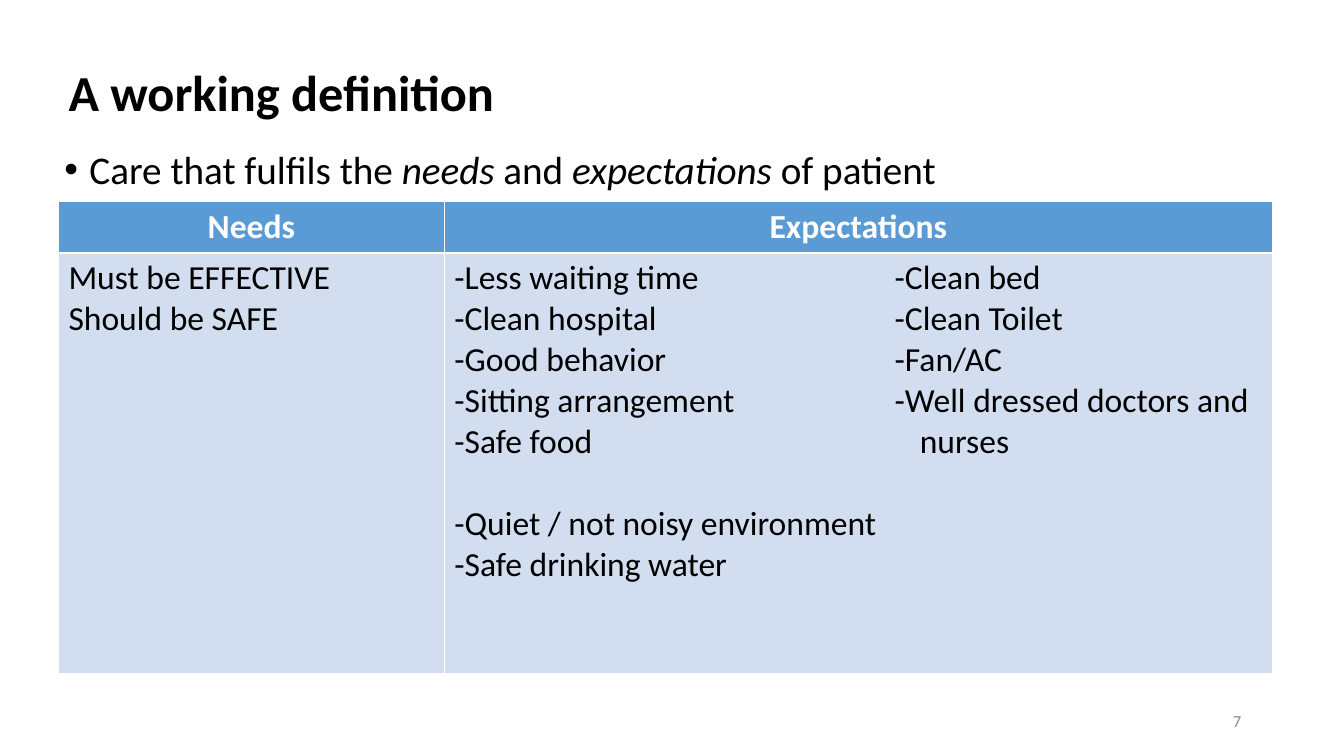
from dataclasses import dataclass

from lxml import etree
from pptx import Presentation
from pptx.dml.color import RGBColor
from pptx.enum.text import MSO_ANCHOR, MSO_AUTO_SIZE, PP_ALIGN
from pptx.oxml.ns import qn
from pptx.util import Inches, Pt

LEFT, CENTER, RIGHT = PP_ALIGN.LEFT, PP_ALIGN.CENTER, PP_ALIGN.RIGHT
TOP, MIDDLE = MSO_ANCHOR.TOP, MSO_ANCHOR.MIDDLE
NO_AUTOFIT = MSO_AUTO_SIZE.NONE
TITLE_ONLY = 5


@dataclass(frozen=True)
class Theme:
    font: str = "Calibri"
    black: str = "000000"
    white: str = "FFFFFF"
    gray: str = "898989"
    header_fill: str = "5B9BD5"
    body_fill: str = "D2DEEF"
    title_size: int = 36
    bullet_size: int = 28
    table_size: int = 24
    number_size: int = 12
    thin_line: float = 0.45
    thick_line: float = 1.47


THEME = Theme()

NEEDS = ["Must be EFFECTIVE", "Should be SAFE"]
EXPECTATIONS = [
    "-Less waiting time\t-Clean bed",
    "-Clean hospital\t-Clean Toilet",
    "-Good behavior\t-Fan/AC",
    "-Sitting arrangement\t-Well dressed doctors and",
    "-Safe food\tnurses",
    "-Quiet / not noisy environment",
    "-Safe drinking water",
]
SECOND_COLUMN = 4.37
CONTINUATION = 4.62
GROUP_GAP = 29.3
GROUP_START = 5


def format_font(font, size, color, bold=False, italic=False):
    font.name = THEME.font
    font.size = Pt(size)
    font.color.rgb = RGBColor.from_string(color)
    font.bold = bold
    font.italic = italic


def format_paragraph(paragraph, size, color, bold=False, align=LEFT):
    paragraph.alignment = align
    for run in paragraph.runs:
        format_font(run.font, size, color, bold)


def place(shape, left, top, width, height):
    shape.left, shape.top = Inches(left), Inches(top)
    shape.width, shape.height = Inches(width), Inches(height)


def add_text_box(slide, left, top, width, height, anchor=TOP):
    box = slide.shapes.add_textbox(Inches(left), Inches(top), Inches(width), Inches(height))
    box.text_frame.word_wrap = True
    box.text_frame.vertical_anchor = anchor
    return box.text_frame.paragraphs[0]


def add_title(slide, text):
    title = slide.shapes.title
    place(title, 0.58, 0.55, 12.11, 0.78)
    frame = title.text_frame
    frame.text = text
    frame.auto_size = NO_AUTOFIT
    frame.vertical_anchor = MIDDLE
    paragraph = frame.paragraphs[0]
    paragraph.line_spacing = 0.9
    format_paragraph(paragraph, THEME.title_size, THEME.black, bold=True)


def add_bullet(slide, parts):
    paragraph = add_text_box(slide, 0.54, 1.44, 12.17, 0.55)
    properties = paragraph._p.get_or_add_pPr()
    properties.set("marL", str(Inches(0.25)))
    properties.set("indent", str(-Inches(0.25)))
    etree.SubElement(properties, qn("a:buFont")).set("typeface", "Arial")
    etree.SubElement(properties, qn("a:buChar")).set("char", "•")
    paragraph.line_spacing = 0.9
    for text, italic in parts:
        run = paragraph.add_run()
        run.text = text
        format_font(run.font, THEME.bullet_size, THEME.black, italic=italic)


def set_tab_stop(paragraph, position):
    tabs = etree.SubElement(paragraph._p.get_or_add_pPr(), qn("a:tabLst"))
    tab = etree.SubElement(tabs, qn("a:tab"))
    tab.set("pos", str(Inches(position)))
    tab.set("algn", "l")


def set_borders(cell, top, bottom):
    properties = cell._tc.get_or_add_tcPr()
    widths = {"lnL": THEME.thin_line, "lnR": THEME.thin_line, "lnT": top, "lnB": bottom}
    for index, (side, width) in enumerate(widths.items()):
        line = etree.Element(qn(f"a:{side}"))
        line.set("w", str(Pt(width)))
        fill = etree.SubElement(line, qn("a:solidFill"))
        etree.SubElement(fill, qn("a:srgbClr")).set("val", THEME.white)
        properties.insert(index, line)


def fill_cell(cell, lines, header):
    cell.fill.solid()
    cell.fill.fore_color.rgb = RGBColor.from_string(
        THEME.header_fill if header else THEME.body_fill)
    if header:
        set_borders(cell, THEME.thin_line, THEME.thick_line)
    else:
        set_borders(cell, THEME.thick_line, THEME.thin_line)
    cell.text_frame.text = "\n".join(lines)
    for paragraph, line in zip(cell.text_frame.paragraphs, lines):
        if "\t" in line:
            set_tab_stop(paragraph, SECOND_COLUMN if "\t-" in line else CONTINUATION)
        format_paragraph(paragraph, THEME.table_size,
                         THEME.white if header else THEME.black,
                         header, CENTER if header else LEFT)


def add_table(slide, rows, column_widths, row_heights):
    frame = slide.shapes.add_table(
        len(rows), len(column_widths), Inches(0.58), Inches(2),
        Inches(sum(column_widths)), Inches(sum(row_heights)))
    table = frame.table
    for column, width in zip(table.columns, column_widths):
        column.width = Inches(width)
    for row, height in zip(table.rows, row_heights):
        row.height = Inches(height)
    for row_index, row in enumerate(rows):
        for column_index, lines in enumerate(row):
            fill_cell(table.cell(row_index, column_index), lines, row_index == 0)
    return table


def add_slide_number(slide, number):
    paragraph = add_text_box(slide, 9.42, 6.95, 3, 0.4, MIDDLE)
    paragraph.text = number
    format_paragraph(paragraph, THEME.number_size, THEME.gray, align=RIGHT)


def main():
    presentation = Presentation()
    presentation.slide_width = Inches(13.34)
    presentation.slide_height = Inches(7.5)
    slide = presentation.slides.add_slide(presentation.slide_layouts[TITLE_ONLY])

    # Heading and definition
    add_title(slide, "A working definition")
    add_bullet(slide, [
        ("Care that fulfils the ", False), ("needs", True), (" and ", False),
        ("expectations", True), (" of patient", False),
    ])

    # Needs and expectations, with a gap before the last group
    table = add_table(slide, [[["Needs"], ["Expectations"]], [NEEDS, EXPECTATIONS]],
                      [3.83, 8.22], [0.51, 4.17])
    expectations = table.cell(1, 1).text_frame.paragraphs
    expectations[GROUP_START].space_before = Pt(GROUP_GAP)

    # Footer
    add_slide_number(slide, "7")
    presentation.save("out.pptx")


if __name__ == "__main__":
    main()
